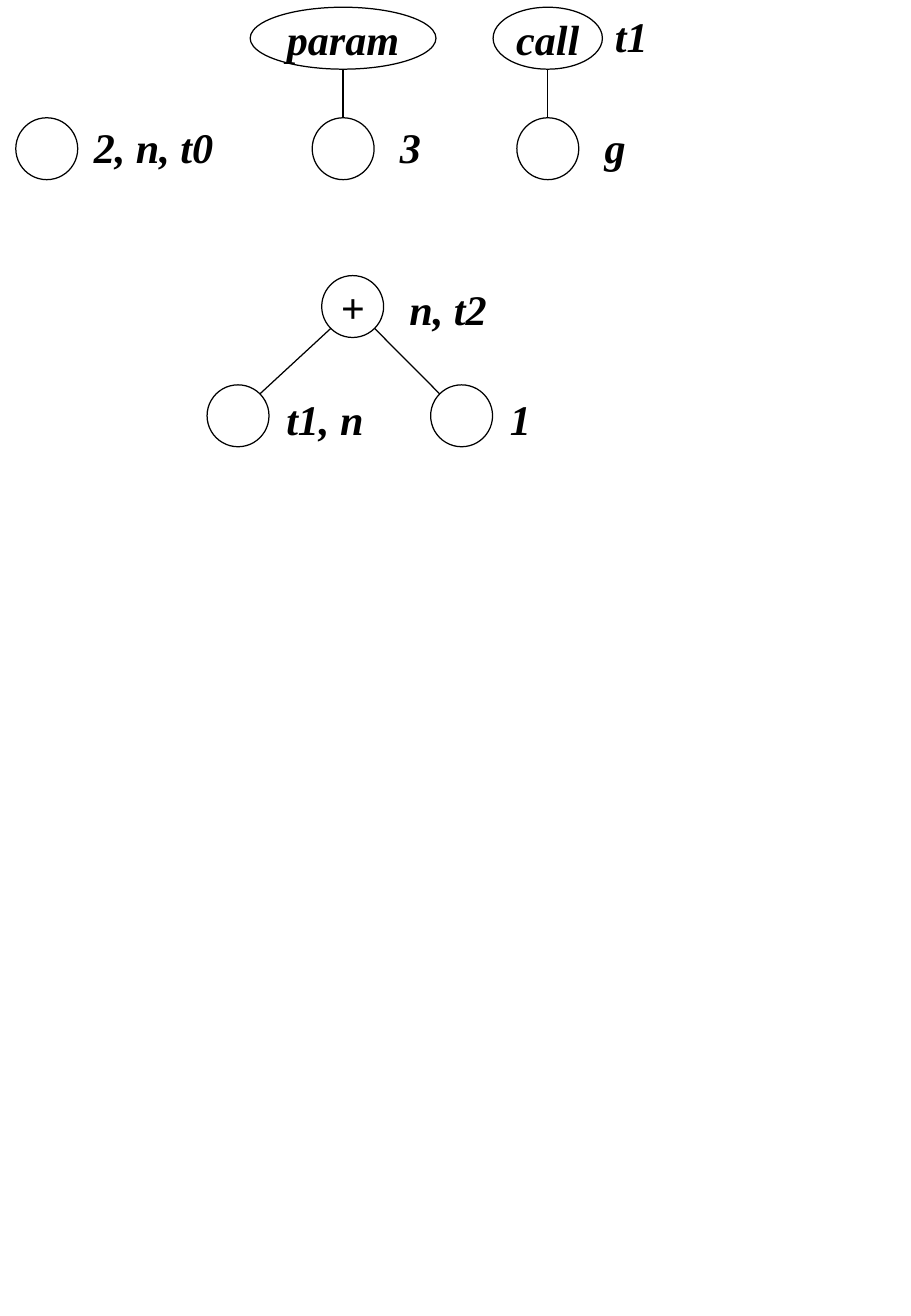
from dataclasses import dataclass
from math import cos, radians, sin

from lxml import etree
from pptx import Presentation
from pptx.dml.color import RGBColor
from pptx.enum.shapes import MSO_CONNECTOR, MSO_SHAPE
from pptx.enum.text import MSO_ANCHOR, PP_ALIGN
from pptx.oxml.ns import qn
from pptx.util import Inches, Pt

OVAL = MSO_SHAPE.OVAL
ROUNDED = MSO_SHAPE.ROUNDED_RECTANGLE
STRAIGHT = MSO_CONNECTOR.STRAIGHT
MIDDLE = MSO_ANCHOR.MIDDLE
LEFT, CENTER = PP_ALIGN.LEFT, PP_ALIGN.CENTER

BLACK = RGBColor(0, 0, 0)
FONT = {"name": "Times New Roman", "size": Pt(25), "bold": True, "italic": True}
LINE_WIDTH = Pt(0.75)
NODE = 0.51
LABEL_HEIGHT = 0.47
BLANK_LAYOUT = 6


@dataclass
class Node:
    """A graph node: x is its centre as a share of the tree's width."""
    text: str = ""
    label: str = ""
    x: float = 0.5
    width: float = NODE
    gap: float = 0.08
    drop: float = 0
    label_width: float = 0.86
    angle: float = 0


def write_text(shape, text, alignment, side_margin):
    """Write one unwrapped, vertically centred line into a shape."""
    frame = shape.text_frame
    settings = {
        "word_wrap": False, "vertical_anchor": MIDDLE,
        "margin_left": Inches(side_margin), "margin_right": Inches(side_margin),
        "margin_top": Inches(0.05), "margin_bottom": Inches(0.05),
    }
    for name, value in settings.items():
        setattr(frame, name, value)
    paragraph = frame.paragraphs[0]
    paragraph.alignment = alignment
    run = paragraph.add_run()
    run.text = text
    for name, value in FONT.items():
        setattr(run.font, name, value)
    run.font.color.rgb = BLACK


def add_unfilled(slide, kind, left, top, width, height):
    """Add a shape without fill or shadow."""
    shape = slide.shapes.add_shape(
        kind, Inches(left), Inches(top), Inches(width), Inches(height))
    shape.fill.background()
    shape.shadow.inherit = False
    return shape


def draw_node(slide, node, center, top):
    """Draw a node's ellipse and the label to its right."""
    left = center - node.width / 2
    ellipse = add_unfilled(slide, OVAL, left, top, node.width, NODE)
    ellipse.line.color.rgb = BLACK
    ellipse.line.width = LINE_WIDTH
    if node.text:
        write_text(ellipse, node.text, CENTER, 0.1)
    if node.label:
        label = add_unfilled(slide, ROUNDED, left + node.width + node.gap,
                             top + node.drop, node.label_width, LABEL_HEIGHT)
        label.line.fill.background()
        write_text(label, node.label, LEFT, 0.11)


def draw_edge(slide, parent, child, angle):
    """Join two node centres, leaving and arriving at the given angle."""
    across = NODE / 2 * sin(radians(angle))
    down = NODE / 2 * cos(radians(angle))
    ends = (parent[0] + across, parent[1] + down,
            child[0] - across, child[1] - down)
    edge = slide.shapes.add_connector(STRAIGHT, *map(Inches, ends))
    edge.line.color.rgb = BLACK
    edge.line.width = LINE_WIDTH
    etree.SubElement(edge._element.spPr, qn("a:effectLst"))


def draw_tree(slide, box, root, children=()):
    """Draw a root at the top of the box and its children at the bottom."""
    left, top, width, height = box
    root_center = left + root.x * width
    child_top = top + height - NODE
    draw_node(slide, root, root_center, top)
    for child in children:
        child_center = left + child.x * width
        draw_edge(slide, (root_center, top + NODE / 2),
                  (child_center, child_top + NODE / 2), child.angle)
        draw_node(slide, child, child_center, child_top)


def main():
    """Build the slide with its four expression trees."""
    presentation = Presentation()
    presentation.slide_width = Inches(7.5)
    presentation.slide_height = Inches(10.84)
    slide = presentation.slides.add_slide(presentation.slide_layouts[BLANK_LAYOUT])

    draw_tree(slide, (0.13, 0.97, NODE, NODE), Node(label="2, n, t0", gap=0))
    draw_tree(slide, (2.06, 0.06, 1.53, 1.42), Node("param", width=1.53),
              [Node(label="3", label_width=0.55)])
    draw_tree(slide, (4.06, 0.06, 0.9, 1.42),
              Node("call", "t1", width=0.9, gap=-0.03),
              [Node(label="g", label_width=0.55)])
    draw_tree(slide, (1.7, 2.27, 2.36, 1.41), Node("+", "n, t2", x=0.51, drop=0.04),
              [Node(label="t1, n", x=0.11, gap=0.01, drop=0.04, angle=-45),
               Node(label="1", x=0.89, gap=0.01, drop=0.04, angle=45)])
    presentation.save("out.pptx")


if __name__ == "__main__":
    main()
